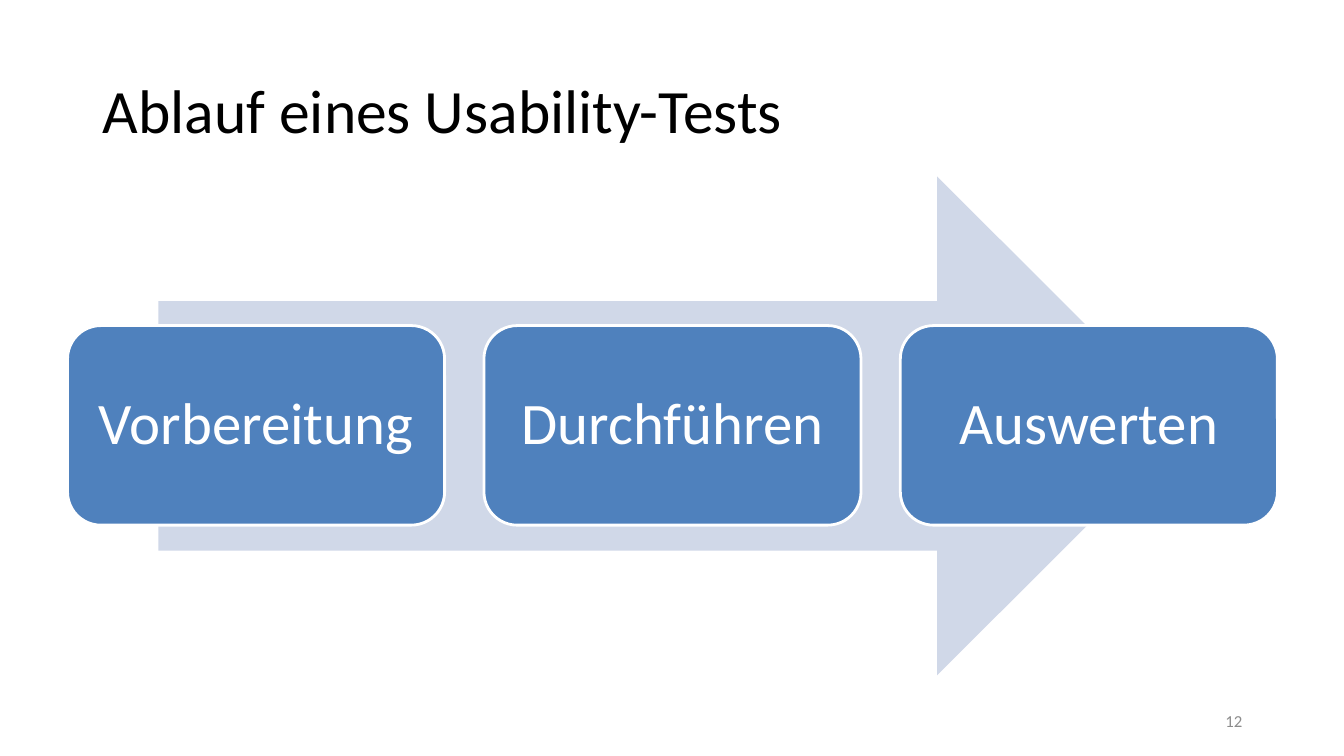
from pptx import Presentation
from pptx.dml.color import RGBColor
from pptx.enum import shapes, text
from pptx.util import Pt

# Content
TITLE = "Ablauf eines Usability-Tests"
STEPS = ["Vorbereitung", "Durchführen", "Auswerten"]
PAGE = "12"

# Layout in px (left, top, width, height)
PX = 9144
SLIDE_W, SLIDE_H = 1333, 750
TITLE_BOX = (92, 40, 1150, 145)
PAGE_BOX = (942, 695, 300, 40)
ARROW_BOX = (157, 175, 1020, 495)
STEP_LEFT, STEP_TOP, STEP_W, STEP_H = 67, 323, 374, 198
STEP_PITCH = 413
STEP_MARGIN = 10

# Style
FONT = "Calibri"
BLACK = RGBColor(0x00, 0x00, 0x00)
GREY = RGBColor(0x8C, 0x8C, 0x8C)
WHITE = RGBColor(0xFF, 0xFF, 0xFF)
BLUE = RGBColor(0x4F, 0x81, 0xBD)
PALE_BLUE = RGBColor(0xD0, 0xD8, 0xE8)


def emu(box):
    return [v * PX for v in box]


def write(sp, words, size, color, align, spacing=1.0):
    tf = sp.text_frame
    tf.word_wrap = True
    tf.vertical_anchor = text.MSO_ANCHOR.MIDDLE
    p = tf.paragraphs[0]
    p.alignment = align
    p.line_spacing = spacing
    r = p.add_run()
    r.text = words
    r.font.name = FONT
    r.font.size = Pt(size)
    r.font.color.rgb = color


def add_block(s, kind, box, fill):
    sp = s.shapes.add_shape(kind, *emu(box))
    sp.shadow.inherit = False
    sp.fill.solid()
    sp.fill.fore_color.rgb = fill
    sp.line.fill.background()
    return sp


def main():
    prs = Presentation()
    prs.slide_width, prs.slide_height = emu((SLIDE_W, SLIDE_H))
    s = prs.slides.add_slide(prs.slide_layouts[6])

    # Title and page number
    write(s.shapes.add_textbox(*emu(TITLE_BOX)), TITLE, 44, BLACK,
          text.PP_ALIGN.LEFT, 0.9)
    write(s.shapes.add_textbox(*emu(PAGE_BOX)), PAGE, 12, GREY,
          text.PP_ALIGN.RIGHT)

    # Arrow behind the steps
    add_block(s, shapes.MSO_SHAPE.RIGHT_ARROW, ARROW_BOX, PALE_BLUE)

    # Steps
    for i, step in enumerate(STEPS):
        box = (STEP_LEFT + i * STEP_PITCH, STEP_TOP, STEP_W, STEP_H)
        sp = add_block(s, shapes.MSO_SHAPE.ROUNDED_RECTANGLE, box, BLUE)
        sp.line.color.rgb = WHITE
        sp.line.width = Pt(2)
        tf = sp.text_frame
        tf.margin_left = tf.margin_right = STEP_MARGIN * PX
        write(sp, step, 42, WHITE, text.PP_ALIGN.CENTER, 0.9)

    prs.save("out.pptx")


if __name__ == "__main__":
    main()
